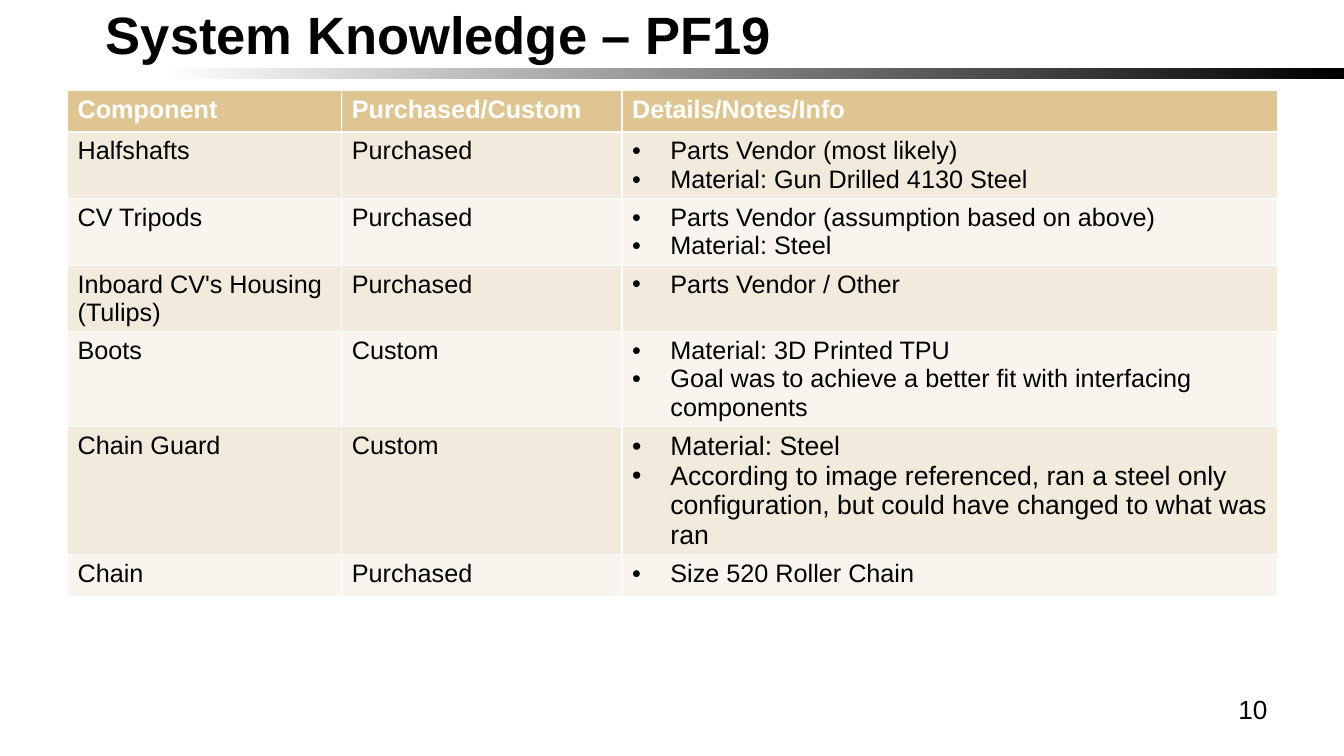
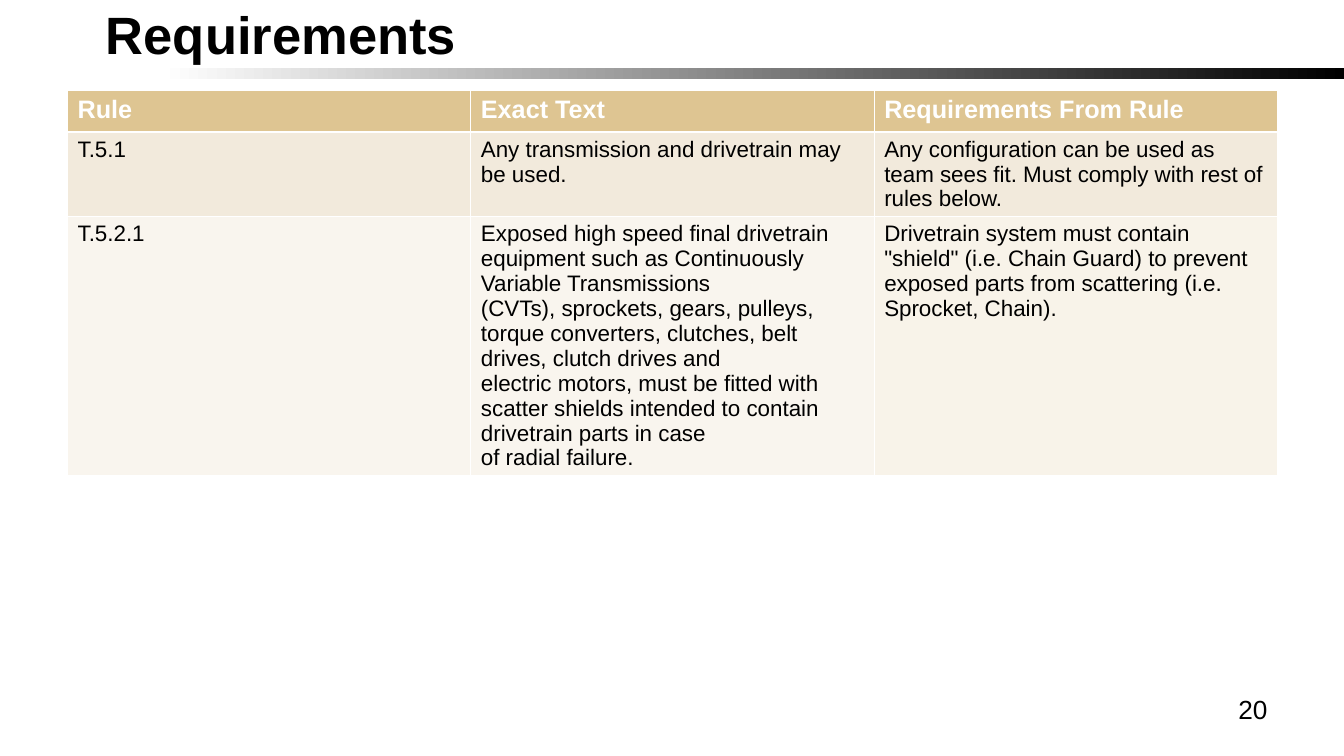
from dataclasses import dataclass
from typing import Any

from lxml import etree
from pptx import Presentation
from pptx.dml.color import RGBColor
from pptx.enum.shapes import MSO_SHAPE
from pptx.enum.text import MSO_ANCHOR, MSO_AUTO_SIZE, PP_ALIGN
from pptx.oxml.ns import qn
from pptx.util import Inches, Pt

RECT = MSO_SHAPE.RECTANGLE
BOTTOM = MSO_ANCHOR.BOTTOM
FIXED = MSO_AUTO_SIZE.NONE
LEFT = PP_ALIGN.LEFT
RIGHT = PP_ALIGN.RIGHT

FONT = "Arial"
BLACK = "000000"
WHITE = "FFFFFF"
GOLD = "DEC592"
SAND = "F2EADC"
CREAM = "F9F5EE"
IVORY = "F8F3E9"

MARGIN = 0.67
ROW = 0.41
INDENT = 0.38

TITLE_BOX = {
    "left": Inches(MARGIN),
    "top": Inches(0.22),
    "width": Inches(8.67),
    "height": Inches(0.43),
}
TITLE_FRAME = {
    "vertical_anchor": BOTTOM,
    "auto_size": FIXED,
    "word_wrap": True,
    "margin_left": Inches(INDENT),
    "margin_top": Inches(0.05),
    "margin_right": Inches(0.1),
    "margin_bottom": 0,
}


@dataclass(frozen=True)
class Cell:
    text: str
    size: float = 18
    fill: str = ""
    bullet: bool = False


@dataclass(frozen=True)
class Page:
    title: str
    number: int
    widths: tuple[float, ...]
    heads: tuple[str, ...]
    rows: tuple[tuple[Cell, ...], ...]


def notes(text: str, size: float = 18) -> Cell:
    return Cell(text, size, bullet=True)


def rule(text: str, fill: str = "") -> Cell:
    return Cell(text, 16, fill)


PAGES = (
    Page(
        "System Knowledge – PF19",
        10,
        (2.72, 2.78, 6.5),
        ("Component", "Purchased/Custom", "Details/Notes/Info"),
        (
            (
                Cell("Halfshafts"),
                Cell("Purchased"),
                notes("Parts Vendor (most likely)\nMaterial: Gun Drilled 4130 Steel"),
            ),
            (
                Cell("CV Tripods"),
                Cell("Purchased"),
                notes("Parts Vendor (assumption based on above)\nMaterial: Steel"),
            ),
            (
                Cell("Inboard CV's Housing (Tulips)"),
                Cell("Purchased"),
                notes("Parts Vendor / Other"),
            ),
            (
                Cell("Boots"),
                Cell("Custom"),
                notes(
                    "Material: 3D Printed TPU\n"
                    "Goal was to achieve a better fit with interfacing components"
                ),
            ),
            (
                Cell("Chain Guard"),
                Cell("Custom"),
                notes(
                    "Material: Steel\n"
                    "According to image referenced, ran a steel only "
                    "configuration, but could have changed to what was ran",
                    19,
                ),
            ),
            (Cell("Chain"), Cell("Purchased"), notes("Size 520 Roller Chain")),
        ),
    ),
    Page(
        "Requirements",
        20,
        (4, 4, 4),
        ("Rule", "Exact Text", "Requirements From Rule"),
        (
            (
                rule("T.5.1"),
                rule("Any transmission and drivetrain may be used."),
                rule(
                    "Any configuration can be used as team sees fit. "
                    "Must comply with rest of rules below."
                ),
            ),
            (
                rule("T.5.2.1"),
                rule(
                    "Exposed high speed final drivetrain equipment such as "
                    "Continuously Variable Transmissions\n"
                    "(CVTs), sprockets, gears, pulleys, torque converters, "
                    "clutches, belt drives, clutch drives and\n"
                    "electric motors, must be fitted with scatter shields "
                    "intended to contain drivetrain parts in case\n"
                    "of radial failure."
                ),
                rule(
                    'Drivetrain system must contain "shield" (i.e. Chain Guard) '
                    "to prevent exposed parts from scattering "
                    "(i.e. Sprocket, Chain).",
                    IVORY,
                ),
            ),
        ),
    ),
)


def tint(code: str) -> RGBColor:
    return RGBColor.from_string(code)


def apply(target: Any, values: dict[str, Any]) -> None:
    for name, value in values.items():
        setattr(target, name, value)


def add_bullet(line: Any) -> None:
    props = line._p.get_or_add_pPr()
    props.set("marL", str(Inches(INDENT)))
    props.set("indent", str(-Inches(INDENT)))
    etree.SubElement(props, qn("a:buFont")).set("typeface", FONT)
    etree.SubElement(props, qn("a:buChar")).set("char", "•")


def write(
    frame: Any,
    text: str,
    size: float,
    color: str = BLACK,
    bold: bool = False,
    align: Any = LEFT,
    bullet: bool = False,
) -> None:
    frame.text = text
    for line in frame.paragraphs:
        if bullet:
            add_bullet(line)
        line.alignment = align
        for run in line.runs:
            apply(run.font, {"name": FONT, "size": Pt(size), "bold": bold})
            run.font.color.rgb = tint(color)


def add_band(slide: Any, width: int) -> None:
    band = slide.shapes.add_shape(RECT, 0, Inches(0.67), width, Inches(0.11))
    band.shadow.inherit = False
    band.line.fill.background()
    band.fill.gradient()
    band.fill.gradient_angle = 180
    stops = ((0, BLACK), (0.88, WHITE))
    for stop, (place, color) in zip(band.fill.gradient_stops, stops):
        stop.position = place
        stop.color.rgb = tint(color)


def add_title(slide: Any, text: str) -> None:
    title = slide.shapes.title
    apply(title, TITLE_BOX)
    apply(title.text_frame, TITLE_FRAME)
    write(title.text_frame, text, 37.5, bold=True)


def add_number(slide: Any, number: int) -> None:
    box = slide.shapes.add_textbox(
        Inches(9.56), Inches(6.83), Inches(3.11), Inches(0.52)
    )
    box.text_frame.word_wrap = True
    write(box.text_frame, str(number), 18.7, align=RIGHT)


def add_grid(slide: Any, page: Page) -> None:
    count = len(page.rows) + 1
    grid = slide.shapes.add_table(
        count,
        len(page.widths),
        Inches(MARGIN),
        Inches(0.9),
        Inches(sum(page.widths)),
        Inches(ROW * count),
    ).table
    for column, width in zip(grid.columns, page.widths):
        column.width = Inches(width)
    heads = tuple(Cell(text, fill=GOLD) for text in page.heads)
    for r, cells in enumerate((heads, *page.rows)):
        grid.rows[r].height = Inches(ROW)
        shade = SAND if r % 2 else CREAM
        color = BLACK if r else WHITE
        for c, cell in enumerate(cells):
            box = grid.cell(r, c)
            box.fill.solid()
            box.fill.fore_color.rgb = tint(cell.fill or shade)
            write(
                box.text_frame,
                cell.text,
                cell.size,
                color,
                bold=r == 0,
                bullet=cell.bullet,
            )


def main() -> None:
    deck = Presentation()
    apply(deck, {"slide_width": Inches(13.33), "slide_height": Inches(7.5)})
    for page in PAGES:
        slide = deck.slides.add_slide(deck.slide_layouts[5])
        add_band(slide, deck.slide_width)
        add_title(slide, page.title)
        add_grid(slide, page)
        add_number(slide, page.number)
    deck.save("out.pptx")


if __name__ == "__main__":
    main()
